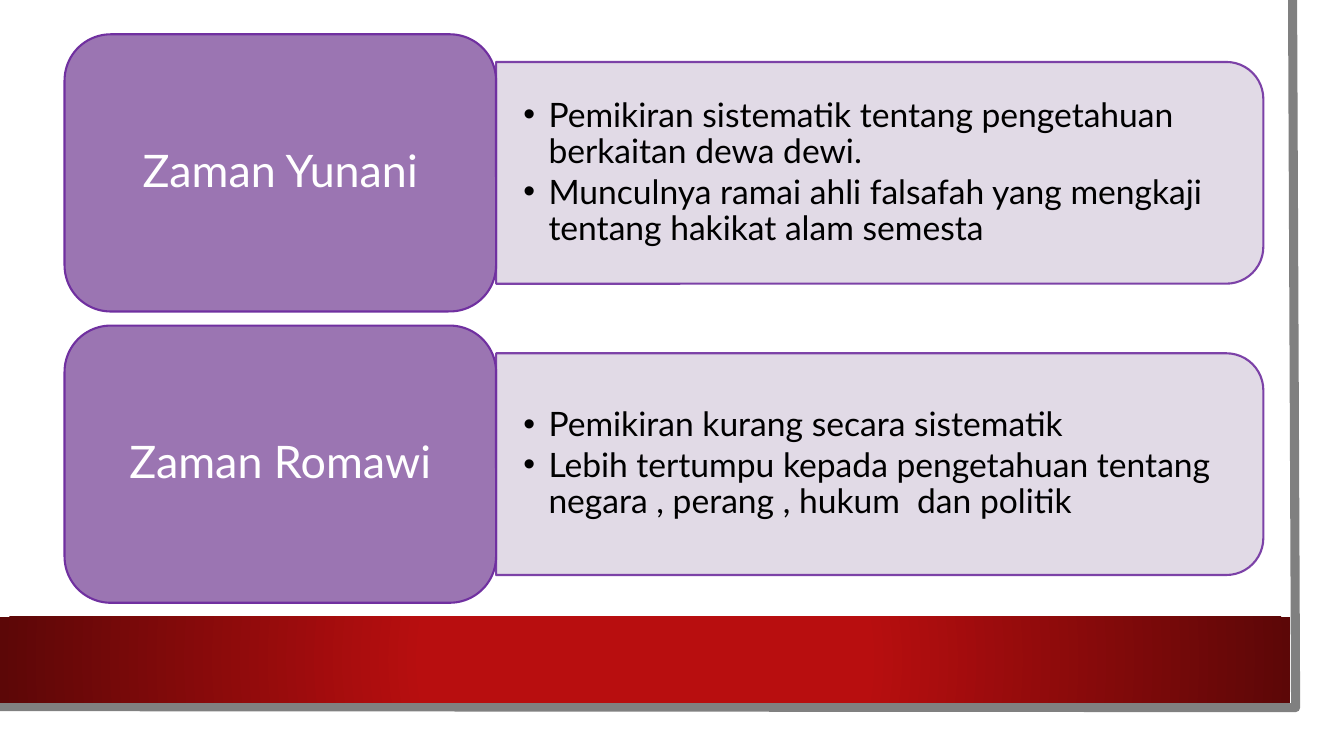
import dataclasses
import typing

import lxml.etree
import pptx
import pptx.dml.color
import pptx.enum.shapes
import pptx.enum.text
import pptx.oxml.ns
import pptx.util

Inches = pptx.util.Inches
Pt = pptx.util.Pt
Shape = pptx.enum.shapes.MSO_SHAPE
Align = pptx.enum.text.PP_ALIGN
qn = pptx.oxml.ns.qn

COLOURS = {
    "white": "FFFFFF",
    "black": "000000",
    "frame": "808080",
    "red": "B80E0F",
    "dark_red": "5C0707",
    "purple": "9B75B2",
    "outline": "7030A0",
    "lilac": "DED6E4",
}
FONT = "Lato"
ERA_LEFT, ERA_TOP, ERA_STEP = 0.64, 0.34, 2.89
TAB_WIDTH, TAB_HEIGHT = 4.28, 2.75
PANEL_WIDTH, PANEL_HEIGHT = 7.61, 2.2
LIST_WIDTH, LIST_HEIGHT = 7.51, 1.99


@dataclasses.dataclass
class Era:
    name: str
    points: list[str]


ERAS = [
    Era("Zaman Yunani", [
        "Pemikiran sistematik tentang pengetahuan berkaitan dewa dewi.",
        "Munculnya ramai ahli falsafah yang mengkaji tentang hakikat alam semesta",
    ]),
    Era("Zaman Romawi", [
        "Pemikiran kurang secara sistematik",
        "Lebih tertumpu kepada pengetahuan tentang negara , perang , hukum  dan politik",
    ]),
]


def colour(name: str) -> pptx.dml.color.RGBColor:
    return pptx.dml.color.RGBColor.from_string(COLOURS[name])


def add_box(page, kind, left: float, top: float, width: float, height: float,
            fill: str, line: typing.Optional[str] = None):
    box = page.shapes.add_shape(kind, Inches(left), Inches(top), Inches(width), Inches(height))
    box.shadow.inherit = False
    box.fill.solid()
    box.fill.fore_color.rgb = colour(fill)
    if line:
        box.line.color.rgb = colour(line)
        box.line.width = Pt(1.5)
    else:
        box.line.fill.background()
    return box


def write(box, lines: list[str], *, size: float, color: str, align, after: float,
          margins: tuple[float, float], bullet: bool = False) -> None:
    frame = box.text_frame
    frame.word_wrap = True
    frame.auto_size = pptx.enum.text.MSO_AUTO_SIZE.NONE
    frame.vertical_anchor = pptx.enum.text.MSO_ANCHOR.MIDDLE
    frame.margin_left = frame.margin_right = Inches(margins[0])
    frame.margin_top = frame.margin_bottom = Inches(margins[1])
    for index, line in enumerate(lines):
        para = frame.add_paragraph() if index else frame.paragraphs[0]
        para.alignment = align
        para.line_spacing = 0.9
        para.space_before = Pt(0)
        para.space_after = Pt(after)
        span = para.add_run()
        span.text = line
        span.font.name = FONT
        span.font.size = Pt(size)
        span.font.color.rgb = colour(color)
        if bullet:
            properties = para._p.get_or_add_pPr()
            properties.set("marL", str(Inches(0.25)))
            properties.set("indent", str(-Inches(0.25)))
            lxml.etree.SubElement(properties, qn("a:buChar")).set("char", "•")


def add_frame(page) -> None:
    add_box(page, Shape.RECTANGLE, 0, 0, 13.1, 7.27, "white")
    builder = page.shapes.build_freeform(Inches(12.82), 0)
    builder.add_line_segments(
        [(Inches(12.85), Inches(7.02)), (Inches(-0.03), Inches(7.01))], close=False)
    edge = builder.convert_to_shape()
    edge.shadow.inherit = False
    edge.fill.background()
    edge.line.color.rgb = colour("frame")
    edge.line.width = Pt(6.5)

    band = add_box(page, Shape.RECTANGLE, 0, 6.12, 12.8, 0.85, "red")
    band.fill.gradient()
    for stop, position, name in zip(band.fill.gradient_stops, (0.34, 1), ("red", "dark_red")):
        stop.position = position
        stop.color.rgb = colour(name)
    linear = band.element.find(".//" + qn("a:lin"))
    radial = lxml.etree.Element(qn("a:path"), {"path": "circle"})
    sides = dict.fromkeys("ltrb", "50000")
    lxml.etree.SubElement(radial, qn("a:fillToRect"), sides)
    linear.getparent().replace(linear, radial)


def add_era(page, era: Era, top: float, body) -> None:
    middle = top + TAB_HEIGHT / 2
    panel_left = ERA_LEFT + TAB_WIDTH
    panel = add_box(page, Shape.ROUND_2_SAME_RECTANGLE,
                    panel_left + (PANEL_WIDTH - PANEL_HEIGHT) / 2, middle - PANEL_WIDTH / 2,
                    PANEL_HEIGHT, PANEL_WIDTH, "lilac", "outline")
    panel.rotation = 90
    for tint in panel.element.iter(qn("a:srgbClr")):
        lxml.etree.SubElement(tint, qn("a:alpha")).set("val", "90000")

    page.shapes.element.append(body.element)
    body.left, body.top = Inches(panel_left), Inches(middle - LIST_HEIGHT / 2)
    body.width, body.height = Inches(LIST_WIDTH), Inches(LIST_HEIGHT)
    write(body, era.points, size=24, color="black", align=Align.LEFT, after=3,
          margins=(0.27, 0.14), bullet=True)

    tab = add_box(page, Shape.ROUNDED_RECTANGLE, ERA_LEFT, top, TAB_WIDTH, TAB_HEIGHT,
                  "purple", "outline")
    write(tab, [era.name], size=32, color="white", align=Align.CENTER, after=0,
          margins=(0.13, 0.07))


def main() -> None:
    deck = pptx.Presentation()
    deck.slide_width, deck.slide_height = Inches(13.33), Inches(7.5)
    page = deck.slides.add_slide(deck.slide_layouts.get_by_name("Two Content"))
    title = page.shapes.title.element
    title.getparent().remove(title)
    bodies = list(page.placeholders)
    add_frame(page)
    for index, (era, body) in enumerate(zip(ERAS, bodies)):
        add_era(page, era, ERA_TOP + index * ERA_STEP, body)
    deck.save("out.pptx")


if __name__ == "__main__":
    main()
